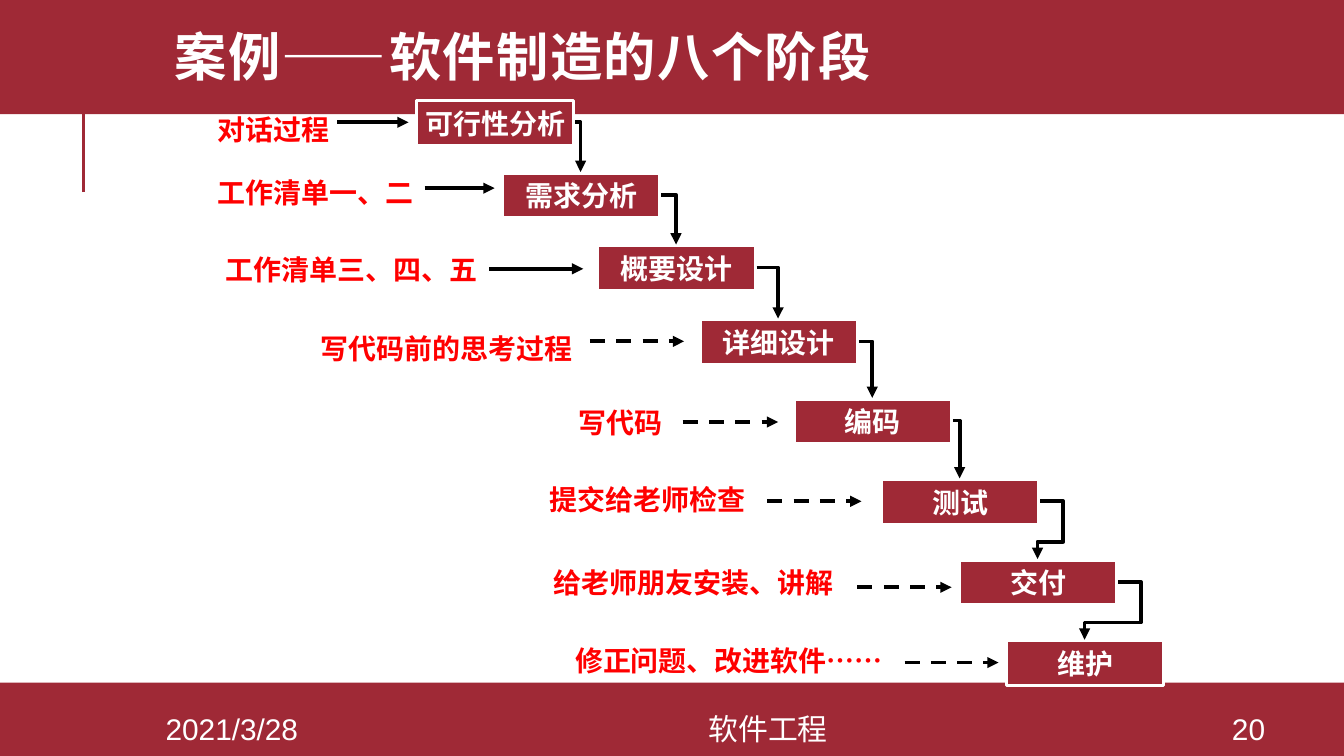
from dataclasses import dataclass
from itertools import pairwise

from lxml.etree import SubElement
from pptx import Presentation
from pptx.dml.color import RGBColor
from pptx.enum.dml import MSO_LINE
from pptx.enum.shapes import MSO_CONNECTOR as Link, MSO_SHAPE as Shape
from pptx.enum.text import MSO_ANCHOR as Anchor, MSO_AUTO_SIZE as Fit, PP_ALIGN as Align
from pptx.oxml.ns import qn
from pptx.util import Emu, Pt

PX = 9144  # 100 px to the inch
PAGE_WIDTH = 1000
BOX_WIDTH, BOX_HEIGHT = 117, 33
LABEL_HEIGHT = 35
OVERSHOOT = 17  # how far a looping link runs past its box

MAROON = RGBColor(0x9F, 0x29, 0x36)
WHITE = RGBColor(0xFF, 0xFF, 0xFF)
RED = RGBColor(0xFF, 0x00, 0x00)
BLACK = RGBColor(0x00, 0x00, 0x00)


@dataclass(frozen=True)
class Stage:
    name: str
    left: int
    top: int
    label: str
    label_left: int
    label_top: int
    label_width: int
    arrow_start: int
    arrow_end: int
    arrow_y: int
    dashed: bool = True


@dataclass(frozen=True)
class Footer:
    text: str
    left: int
    width: int


STAGES = [
    Stage("可行性分析", 310, 75, "对话过程", 152, 79, 110, 251, 304, 91, False),
    Stage("需求分析", 374, 129, "工作清单一、二", 152, 126, 170, 316, 368, 140, False),
    Stage("概要设计", 445, 183, "工作清单三、四、五", 158, 183, 214, 364, 434, 200, False),
    Stage("详细设计", 521, 238, "写代码前的思考过程", 229, 242, 210, 439, 509, 254),
    Stage("编码", 591, 297, "写代码", 421, 297, 94, 508, 579, 314),
    Stage("测试", 656, 357, "提交给老师检查", 399, 354, 198, 571, 641, 373),
    Stage("交付", 714, 417, "给老师朋友安装、讲解", 402, 416, 230, 638, 708, 437),
    Stage("维护", 749, 477, "修正问题、改进软件……", 418, 474, 255, 673, 743, 493),
]
FOOTERS = [
    Footer("2021/3/28", 84, 177),
    Footer("软件工程", 261, 621),
    Footer("20", 889, 80),
]


def px(*lengths: int) -> list[Emu]:
    return [Emu(length * PX) for length in lengths]


def write(frame, text: str, size: int, color: RGBColor, bold: bool = True,
          font: str = "Arial", align: Align = Align.LEFT):
    para = frame.paragraphs[0]
    para.alignment = align
    span = para.add_run()
    span.text = text
    span.font.name = font
    span.font.size = Pt(size)
    span.font.bold = bold
    span.font.color.rgb = color
    return para


def add_rect(page, left: int, top: int, width: int, height: int):
    rect = page.shapes.add_shape(Shape.RECTANGLE, *px(left, top, width, height))
    rect.shadow.inherit = False
    rect.fill.solid()
    rect.fill.fore_color.rgb = MAROON
    rect.line.fill.background()
    return rect


def add_text_box(page, left: int, top: int, width: int, height: int):
    frame = page.shapes.add_textbox(*px(left, top, width, height)).text_frame
    frame.word_wrap = True
    return frame


def add_line(page, kind: Link, start: tuple[int, int], end: tuple[int, int],
             color: RGBColor = BLACK, width: float = 2, arrow: bool = True):
    line = page.shapes.add_connector(kind, *px(*start, *end))
    line.line.color.rgb = color
    line.line.width = Pt(width)
    properties = line._element.spPr
    if arrow:
        SubElement(properties.find(qn("a:ln")), qn("a:tailEnd"), type="triangle")
    SubElement(properties, qn("a:effectLst"))
    return line


def add_stage(page, stage: Stage) -> None:
    box = add_rect(page, stage.left, stage.top, BOX_WIDTH, BOX_HEIGHT)
    box.line.color.rgb = WHITE
    box.line.width = Pt(1.5)
    box.text_frame.word_wrap = False
    box.text_frame.vertical_anchor = Anchor.MIDDLE
    write(box.text_frame, stage.name, 15, WHITE, align=Align.CENTER)

    label = add_text_box(page, stage.label_left, stage.label_top,
                         stage.label_width, LABEL_HEIGHT)
    label.auto_size = Fit.SHAPE_TO_FIT_TEXT
    write(label, stage.label, 15, RED)

    arrow = add_line(page, Link.STRAIGHT, (stage.arrow_start, stage.arrow_y),
                     (stage.arrow_end, stage.arrow_y))
    if stage.dashed:
        arrow.line.dash_style = MSO_LINE.DASH


def link_stages(page, upper: Stage, lower: Stage) -> None:
    """Run from the upper box's right side to the lower box's top, looping back if needed."""
    start = (upper.left + BOX_WIDTH + 1, upper.top + BOX_HEIGHT // 2)
    end = (lower.left + BOX_WIDTH // 2, lower.top - 1)
    link = add_line(page, Link.ELBOW, start, end)
    geometry = link._element.spPr.find(qn("a:prstGeom"))
    if end[0] > start[0]:
        geometry.set("prst", "bentConnector2")
        return
    geometry.set("prst", "bentConnector4")
    guides = geometry.get_or_add_avLst()
    turn = -OVERSHOOT * 100000 // (start[0] - end[0])
    for name, value in (("adj1", turn), ("adj2", 70200)):
        SubElement(guides, qn("a:gd"), name=name, fmla=f"val {value}")


def add_title(page) -> None:
    frame = add_text_box(page, 120, 0, 849, 91)
    frame.vertical_anchor = Anchor.MIDDLE
    para = write(frame, "案例——软件制造的八个阶段", 28, WHITE, font="Times New Roman")
    para.line_spacing = 0.8
    para.runs[0].font._element.set("spc", "80")


def add_footer(page, footer: Footer) -> None:
    frame = add_text_box(page, footer.left, 531, footer.width, 23)
    frame.margin_top = frame.margin_bottom = 0
    frame.vertical_anchor = Anchor.MIDDLE
    write(frame, footer.text, 16, WHITE, bold=False, align=Align.CENTER)


def main() -> None:
    deck = Presentation()
    deck.slide_width = Emu(PAGE_WIDTH * PX)
    deck.slide_height = Emu(deck.slide_width * 9 // 16)
    page = deck.slides.add_slide(deck.slide_layouts[6])

    add_line(page, Link.STRAIGHT, (62, 143), (62, 68), MAROON, 1.5, arrow=False)
    add_rect(page, 0, 508, PAGE_WIDTH, 55)
    add_rect(page, 0, -3, PAGE_WIDTH, 88)
    for stage in STAGES:
        add_stage(page, stage)
    for upper, lower in pairwise(STAGES):
        link_stages(page, upper, lower)
    add_title(page)
    for footer in FOOTERS:
        add_footer(page, footer)
    deck.save("out.pptx")


if __name__ == "__main__":
    main()
